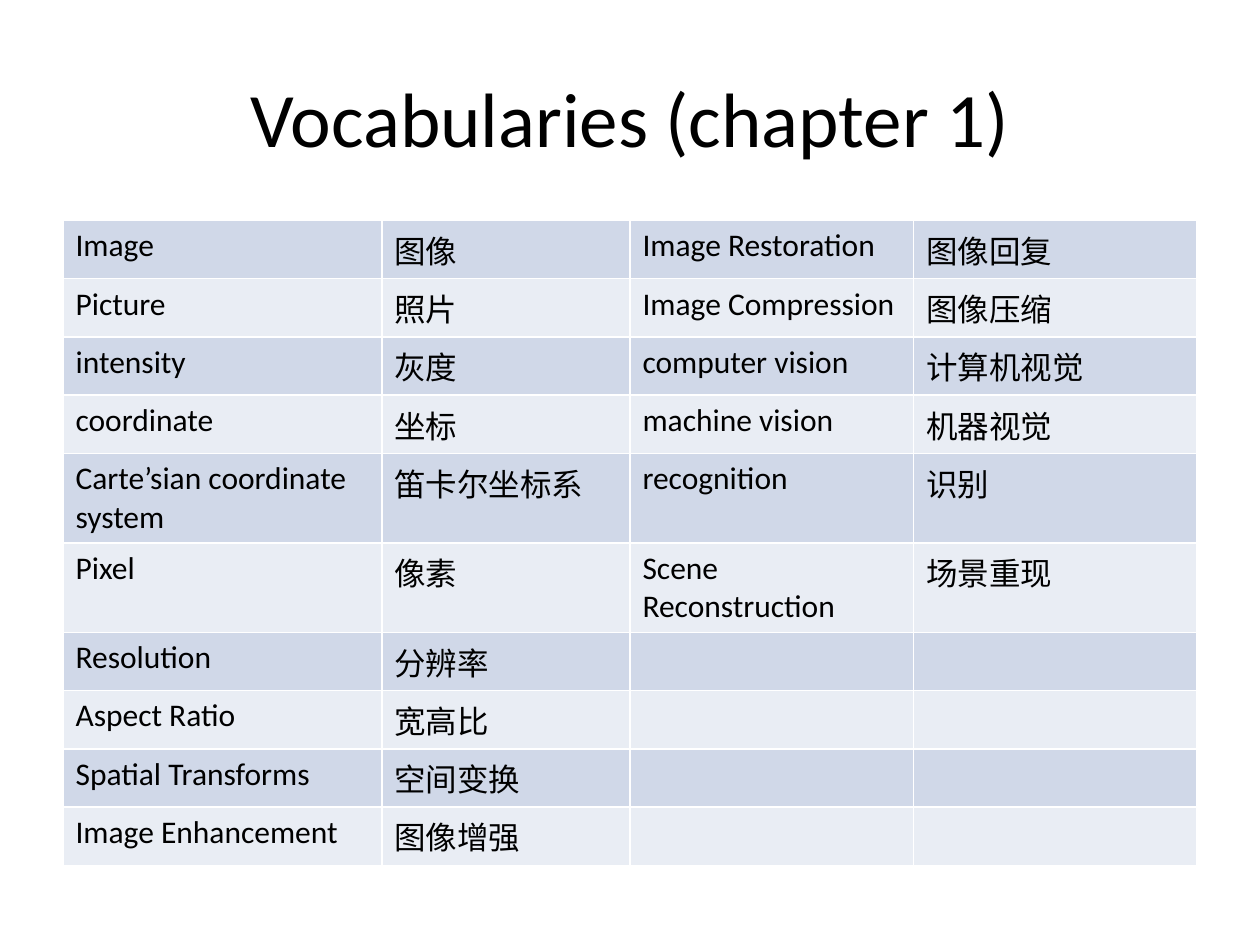
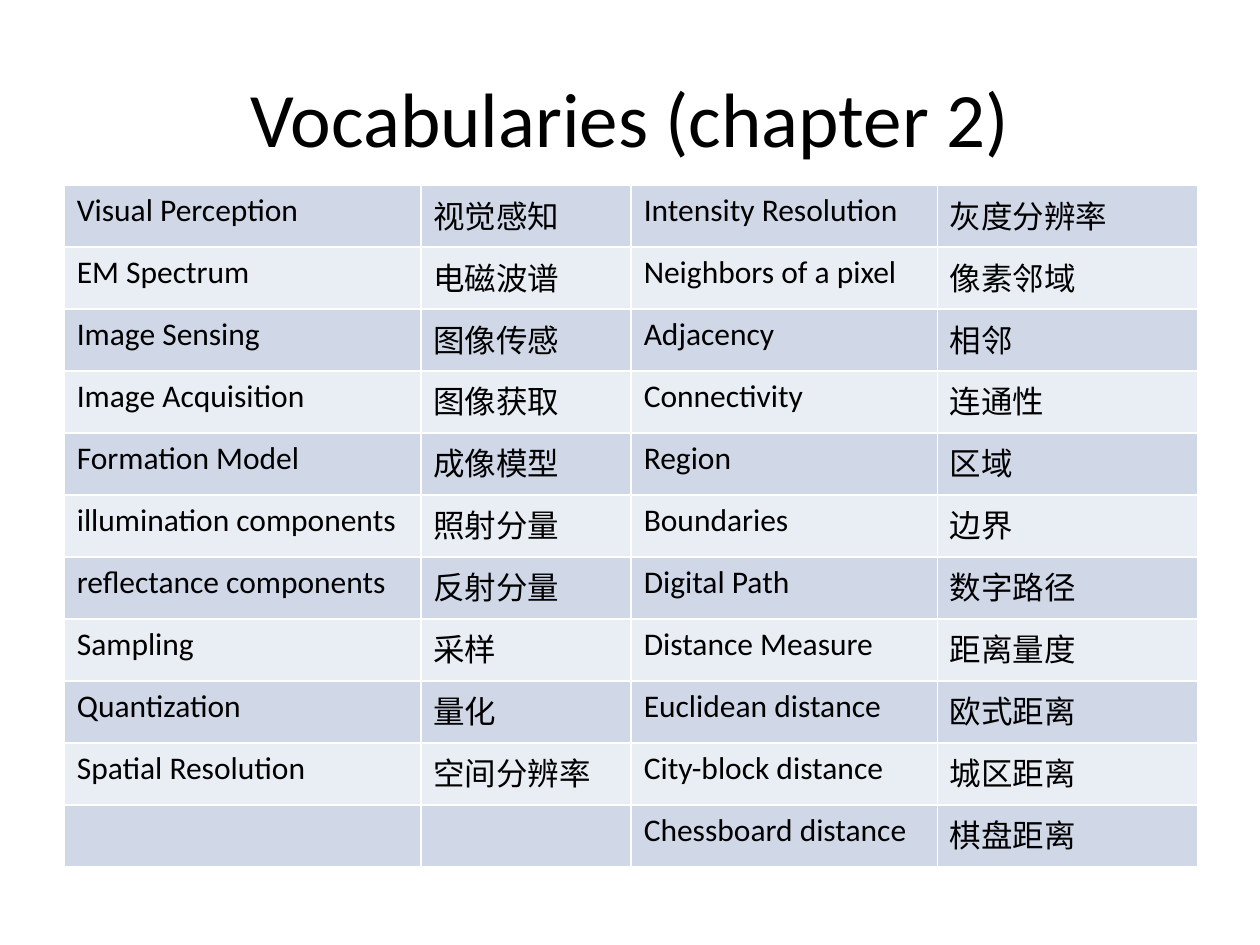
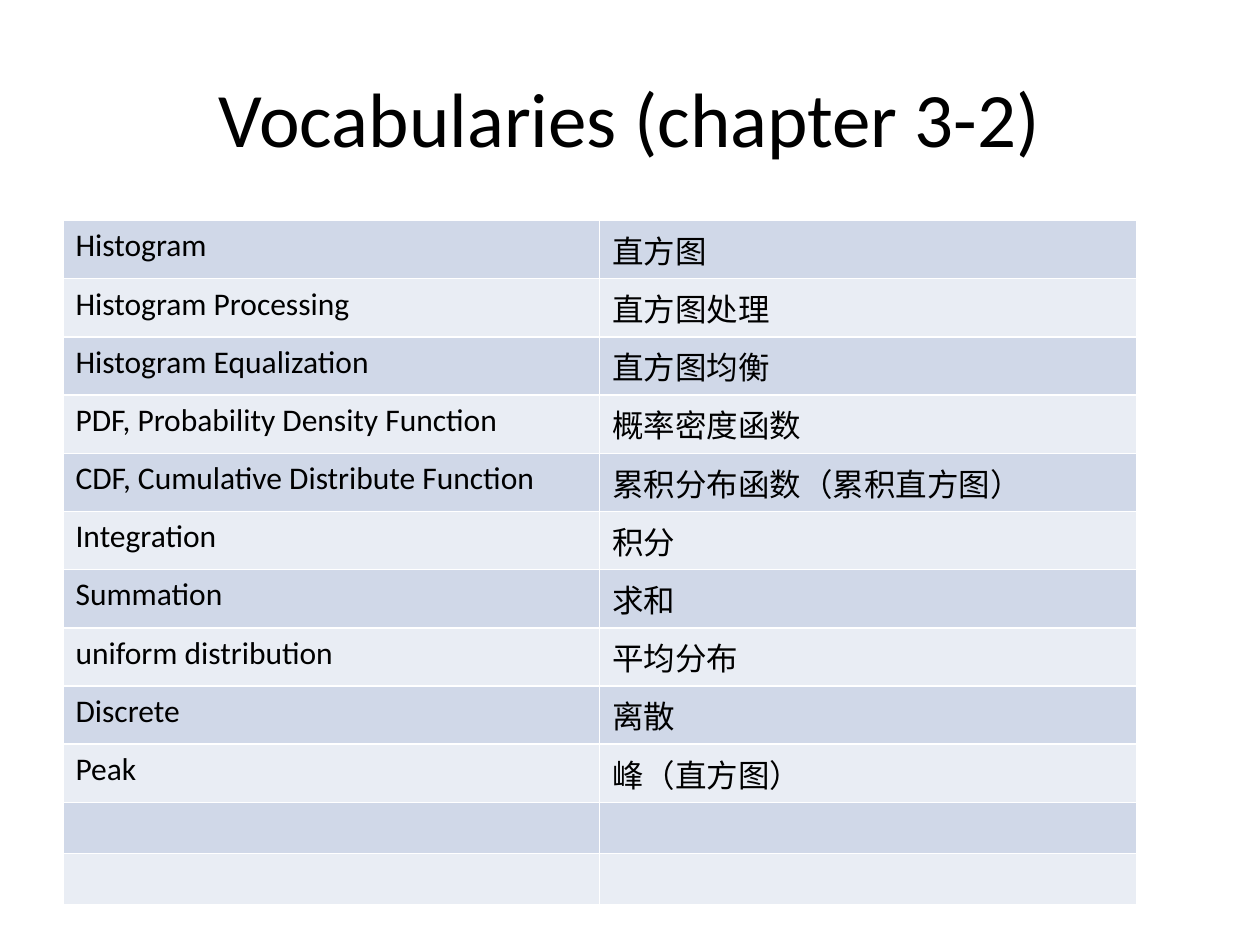
from lxml.etree import SubElement
from pptx import Presentation
from pptx.dml.color import RGBColor
from pptx.enum.lang import MSO_LANGUAGE_ID as Language
from pptx.enum.text import MSO_ANCHOR as Anchor, PP_ALIGN as Align
from pptx.oxml.ns import qn
from pptx.util import Inches, Pt

# Content: title, table corner, column widths, row bands and rows of each slide;
# a row band is a number of equal rows and the height they share
CHAPTERS = [
    {
        "title": "Vocabularies (chapter 1)",
        "corner": (0.5, 1.75), "columns": (2.53, 1.97, 2.25, 2.25),
        "row_bands": [(4, 1.85), (2, 1.42), (4, 1.85)],
        "rows": [
            ("Image", "图像", "Image Restoration", "图像回复"),
            ("Picture", "照片", "Image Compression", "图像压缩"),
            ("intensity", "灰度", "computer vision", "计算机视觉"),
            ("coordinate", "坐标", "machine vision", "机器视觉"),
            ("Carte’sian coordinate system", "笛卡尔坐标系", "recognition", "识别"),
            ("Pixel", "像素", "Scene Reconstruction", "场景重现"),
            ("Resolution", "分辨率", "", ""),
            ("Aspect Ratio", "宽高比", "", ""),
            ("Spatial Transforms", "空间变换", "", ""),
            ("Image Enhancement", "图像增强", "", ""),
        ],
    },
    {
        "title": "Vocabularies (chapter 2)",
        "corner": (0.51, 1.47), "columns": (2.83, 1.67, 2.43, 2.07),
        "row_bands": [(11, 5.41)],
        "rows": [
            ("Visual Perception", "视觉感知", "Intensity Resolution", "灰度分辨率"),
            ("EM Spectrum", "电磁波谱", "Neighbors of a pixel", "像素邻域"),
            ("Image Sensing", "图像传感", "Adjacency", "相邻"),
            ("Image Acquisition", "图像获取", "Connectivity", "连通性"),
            ("Formation Model", "成像模型", "Region", "区域"),
            ("illumination components", "照射分量", "Boundaries", "边界"),
            ("reflectance components", "反射分量", "Digital Path", "数字路径"),
            ("Sampling", "采样", "Distance Measure", "距离量度"),
            ("Quantization", "量化", "Euclidean distance", "欧式距离"),
            ("Spatial Resolution", "空间分辨率", "City-block distance", "城区距离"),
            ("", "", "Chessboard distance", "棋盘距离"),
        ],
    },
    {
        "title": "Vocabularies (chapter 3-2)",
        "corner": (0.5, 1.75), "columns": (4.26, 4.26),
        "row_bands": [(10, 4.62), (2, 0.81)],
        "rows": [
            ("Histogram", "直方图"),
            ("Histogram Processing", "直方图处理"),
            ("Histogram Equalization", "直方图均衡"),
            ("PDF, Probability Density Function", "概率密度函数"),
            ("CDF, Cumulative Distribute Function", "累积分布函数（累积直方图）"),
            ("Integration", "积分"),
            ("Summation", "求和"),
            ("uniform distribution", "平均分布"),
            ("Discrete", "离散"),
            ("Peak", "峰（直方图）"),
            ("", ""),
            ("", ""),
        ],
    },
]

# Shared style
FONT = "Calibri"
INK = "000000"
RULE = "FFFFFF"
BANDS = ("D0D8E8", "E9EDF4")
TITLE_AREA = (0.5, 0.3, 9, 1.25)


def color(value):
    return RGBColor.from_string(value)


def write(frame, text, size=18, align=Align.LEFT, anchor=Anchor.TOP):
    frame.word_wrap = True
    frame.vertical_anchor = anchor
    para = frame.paragraphs[0]
    para.alignment = align
    span = para.add_run()
    span.text = text
    span.font.name = FONT
    span.font.size = Pt(size)
    span.font.color.rgb = color(INK)
    span.font.language_id = Language.SIMPLIFIED_CHINESE


def add_borders(cell):
    properties = cell._tc.get_or_add_tcPr()
    for side in ("lnL", "lnR", "lnT", "lnB"):
        line = SubElement(properties, qn(f"a:{side}"), w=str(Pt(1)))
        fill = SubElement(line, qn("a:solidFill"))
        SubElement(fill, qn("a:srgbClr"), val=RULE)


def add_title(slide, text):
    box = slide.shapes.add_textbox(*map(Inches, TITLE_AREA))
    write(box.text_frame, text, size=44, align=Align.CENTER, anchor=Anchor.MIDDLE)


def add_vocabulary(slide, corner, columns, row_bands, rows):
    heights = [total / count for count, total in row_bands for _ in range(count)]
    area = (*corner, sum(columns), sum(heights))
    table = slide.shapes.add_table(len(rows), len(columns), *map(Inches, area)).table
    table.first_row = table.horz_banding = False
    for column, width in zip(table.columns, columns):
        column.width = Inches(width)
    for number, (row, height, words) in enumerate(zip(table.rows, heights, rows)):
        row.height = Inches(height)
        for cell, word in zip(row.cells, words):
            add_borders(cell)
            cell.fill.solid()
            cell.fill.fore_color.rgb = color(BANDS[number % 2])
            if word:
                write(cell.text_frame, word)


def main():
    deck = Presentation()
    deck.slide_width, deck.slide_height = Inches(10), Inches(7.5)
    for chapter in CHAPTERS:
        slide = deck.slides.add_slide(deck.slide_layouts[6])
        add_title(slide, chapter["title"])
        add_vocabulary(slide, chapter["corner"], chapter["columns"],
                       chapter["row_bands"], chapter["rows"])
    deck.save("out.pptx")


if __name__ == "__main__":
    main()
